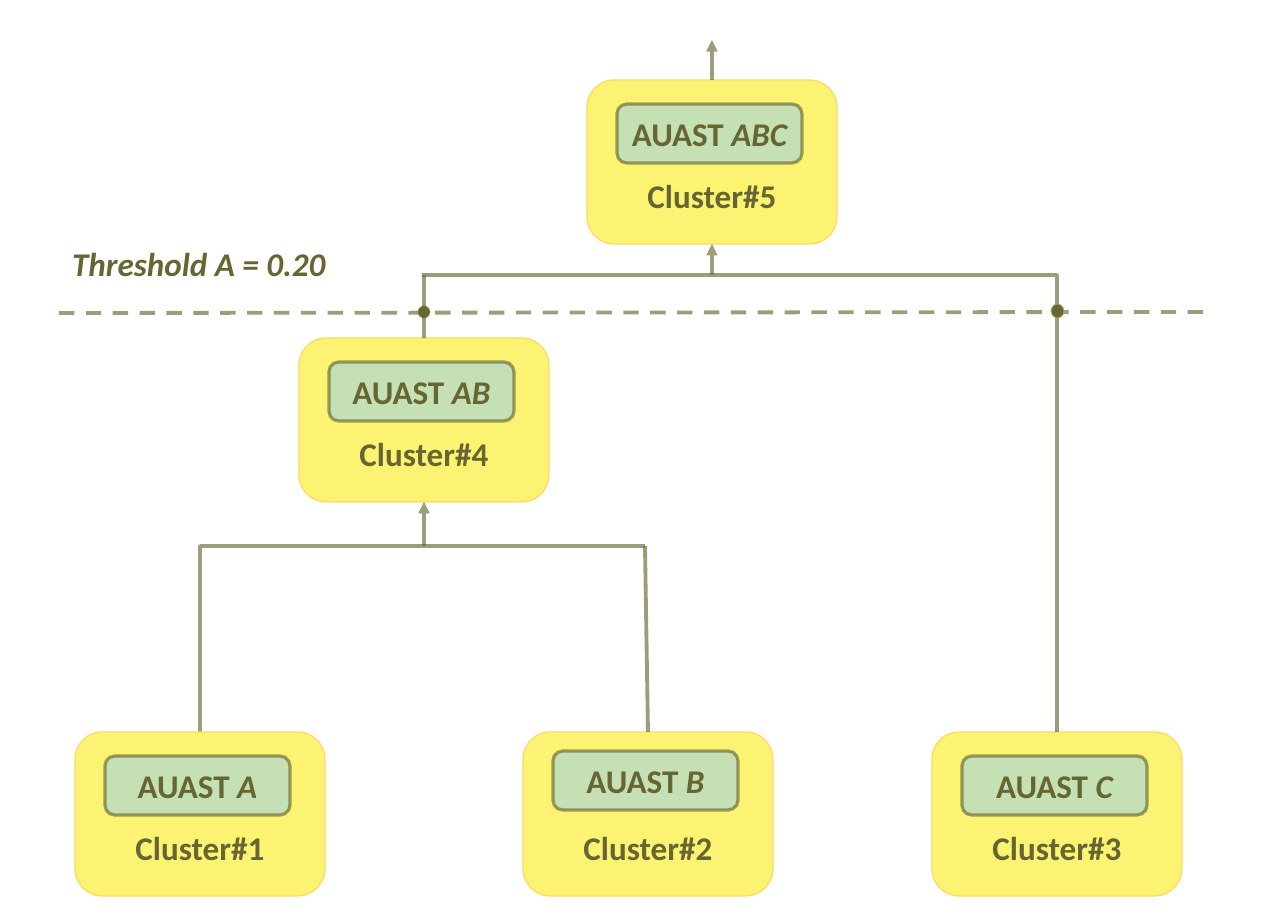
from lxml.etree import SubElement
from pptx import Presentation
from pptx.dml.color import RGBColor
from pptx.enum.dml import MSO_LINE_DASH_STYLE as Dash
from pptx.enum.shapes import MSO_CONNECTOR as Connector, MSO_SHAPE as Shape
from pptx.enum.text import MSO_ANCHOR as Anchor, PP_ALIGN as Align
from pptx.oxml.ns import qn
from pptx.util import Pt

EMU_PER_PX = 914400 / 92
COLORS = {
    "olive": "666633",
    "yellow": "FDF373",
    "gold": "FFD966",
    "green": "C5E0B4",
    "left_dot_edge": "96944A",
    "right_dot_edge": "BAB872",
}
FONT = {"name": "Calibri", "size": Pt(25.9), "bold": True}
CLUSTER_WIDTH, CLUSTER_HEIGHT = 250, 164
BADGE_WIDTH, BADGE_HEIGHT = 185, 59

# number: (members, centre x, top, badge offset)
CLUSTERS = {
    5: ("ABC", 712, 80, 24),
    4: ("AB", 424, 338, 24),
    1: ("A", 200, 732, 24),
    2: ("B", 648, 732, 19),
    3: ("C", 1057, 732, 24),
}
UPPER_BAR, LOWER_BAR = 275, 546


def px(*lengths):
    return [round(length * EMU_PER_PX) for length in lengths]


def rgb(name):
    return RGBColor.from_string(COLORS[name])


def apply_format(target, values):
    for name, value in values.items():
        setattr(target, name, value)


def set_line(shape, color="olive", width=3, opacity=63, dash=None, arrow=False):
    shape.line.color.rgb = rgb(color)
    shape.line.width = Pt(width)
    if dash:
        shape.line.dash_style = dash
    outline = shape.element.spPr.find(qn("a:ln"))
    if opacity < 100:
        color_element = outline.find(".//" + qn("a:srgbClr"))
        SubElement(color_element, qn("a:alpha"), val=str(opacity * 1000))
    if arrow:
        SubElement(outline, qn("a:tailEnd"), type="triangle")


def add_run(paragraph, text, italic=False):
    run = paragraph.add_run()
    run.text = text
    apply_format(run.font, {**FONT, "italic": italic})
    run.font.color.rgb = rgb("olive")


def add_filled(slide, kind, box, fill, **line):
    shape = slide.shapes.add_shape(kind, *px(*box))
    shape.shadow.inherit = False
    shape.fill.solid()
    shape.fill.fore_color.rgb = rgb(fill)
    set_line(shape, **line)
    return shape


def start_centred_text(shape, **frame_format):
    frame = shape.text_frame
    apply_format(frame, {"word_wrap": True, **frame_format})
    paragraph = frame.paragraphs[0]
    paragraph.alignment = Align.CENTER
    return paragraph


def add_cluster(slide, number, members, centre, top, badge_offset):
    """Add a yellow cluster holding a green badge, and return the cluster."""
    box = (centre - CLUSTER_WIDTH // 2, top, CLUSTER_WIDTH, CLUSTER_HEIGHT)
    cluster = add_filled(slide, Shape.ROUNDED_RECTANGLE, box, "yellow",
                         color="gold", width=1, opacity=100)
    paragraph = start_centred_text(cluster, vertical_anchor=Anchor.BOTTOM,
                                   margin_bottom=px(21)[0])
    add_run(paragraph, f"Cluster#{number}")

    box = (box[0] + 30, top + badge_offset, BADGE_WIDTH, BADGE_HEIGHT)
    badge = add_filled(slide, Shape.ROUNDED_RECTANGLE, box, "green", width=2.5)
    paragraph = start_centred_text(badge, vertical_anchor=Anchor.MIDDLE,
                                   margin_left=0, margin_right=0)
    add_run(paragraph, "AUAST ")
    add_run(paragraph, members, italic=True)
    return cluster


def add_straight(slide, start, end, begin_at=None, end_at=None, **line):
    """Add a line; begin_at and end_at are (shape, side) pairs to join."""
    connector = slide.shapes.add_connector(Connector.STRAIGHT, *px(*start, *end))
    if begin_at:
        connector.begin_connect(*begin_at)
    if end_at:
        connector.end_connect(*end_at)
    set_line(connector, **line)
    SubElement(connector.element.spPr, qn("a:effectLst"))


def add_bend(slide, start, *points):
    builder = slide.shapes.build_freeform(*start, scale=EMU_PER_PX)
    builder.add_line_segments(points, close=False)
    bend = builder.convert_to_shape()
    bend.shadow.inherit = False
    bend.fill.background()
    set_line(bend)


def add_label(slide, text, box):
    label = slide.shapes.add_textbox(*px(*box))
    label.text_frame.word_wrap = True
    add_run(label.text_frame.paragraphs[0], text, italic=True)


def main():
    presentation = Presentation()
    presentation.slide_width, presentation.slide_height = px(1288, 920)
    slide = presentation.slides.add_slide(presentation.slide_layouts[6])

    add_bend(slide, (200, 732), (200, LOWER_BAR), (645, LOWER_BAR))
    add_straight(slide, (59, 313), (1208, 312), dash=Dash.DASH)
    add_label(slide, "Threshold A = 0.20", (63, 239, 295, 50))

    clusters = {number: add_cluster(slide, number, *values)
                for number, values in CLUSTERS.items()}

    add_bend(slide, (1057, 732), (1057, UPPER_BAR), (422, UPPER_BAR))
    add_straight(slide, (712, 80), (712, 40), begin_at=(clusters[5], 0), arrow=True)
    add_filled(slide, Shape.FLOWCHART_CONNECTOR, (418, 306, 12, 12), "olive",
               color="left_dot_edge", width=1, opacity=50)
    add_filled(slide, Shape.FLOWCHART_CONNECTOR, (1051, 304, 13, 14), "olive",
               color="right_dot_edge", width=1, opacity=50)
    add_straight(slide, (712, UPPER_BAR), (712, 244), end_at=(clusters[5], 2), arrow=True)
    add_straight(slide, (424, LOWER_BAR), (424, 502), end_at=(clusters[4], 2), arrow=True)
    add_straight(slide, (645, LOWER_BAR), (648, 732), end_at=(clusters[2], 0))
    add_straight(slide, (424, UPPER_BAR), (424, 338), end_at=(clusters[4], 0))

    presentation.save("out.pptx")


if __name__ == "__main__":
    main()
